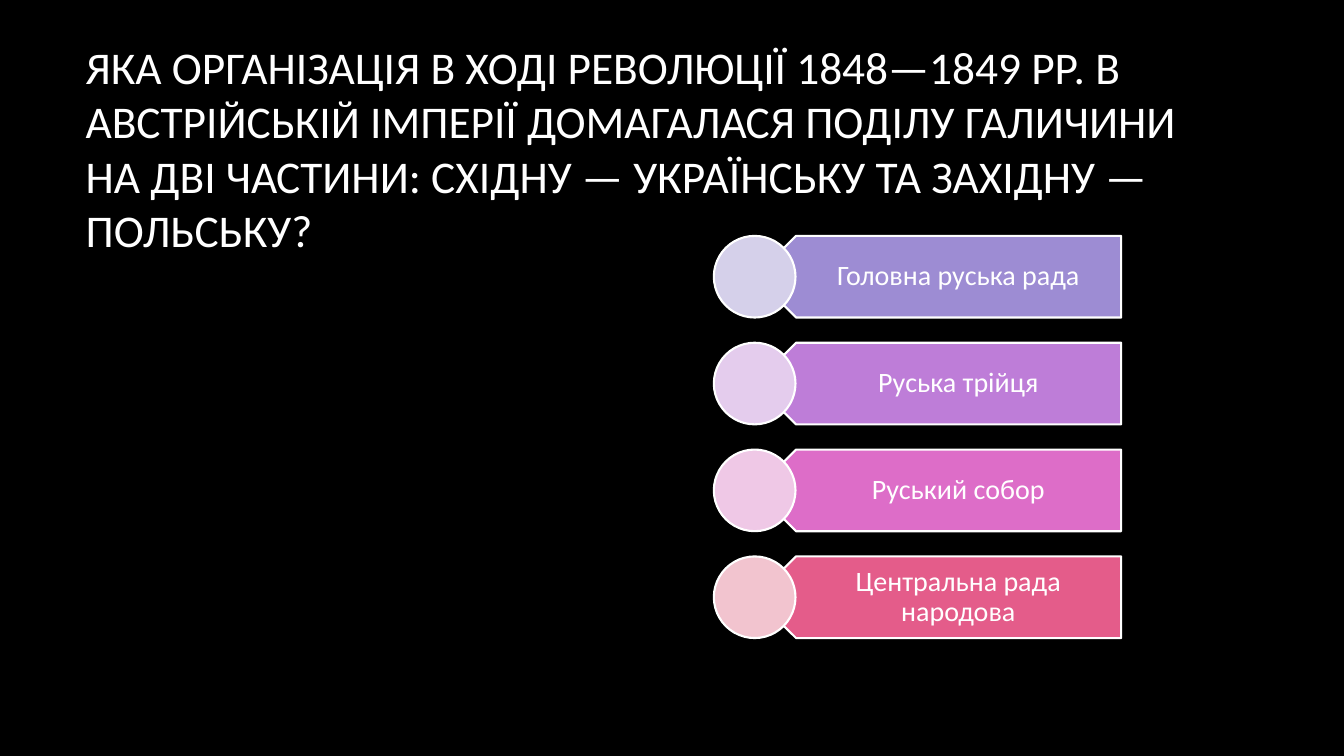
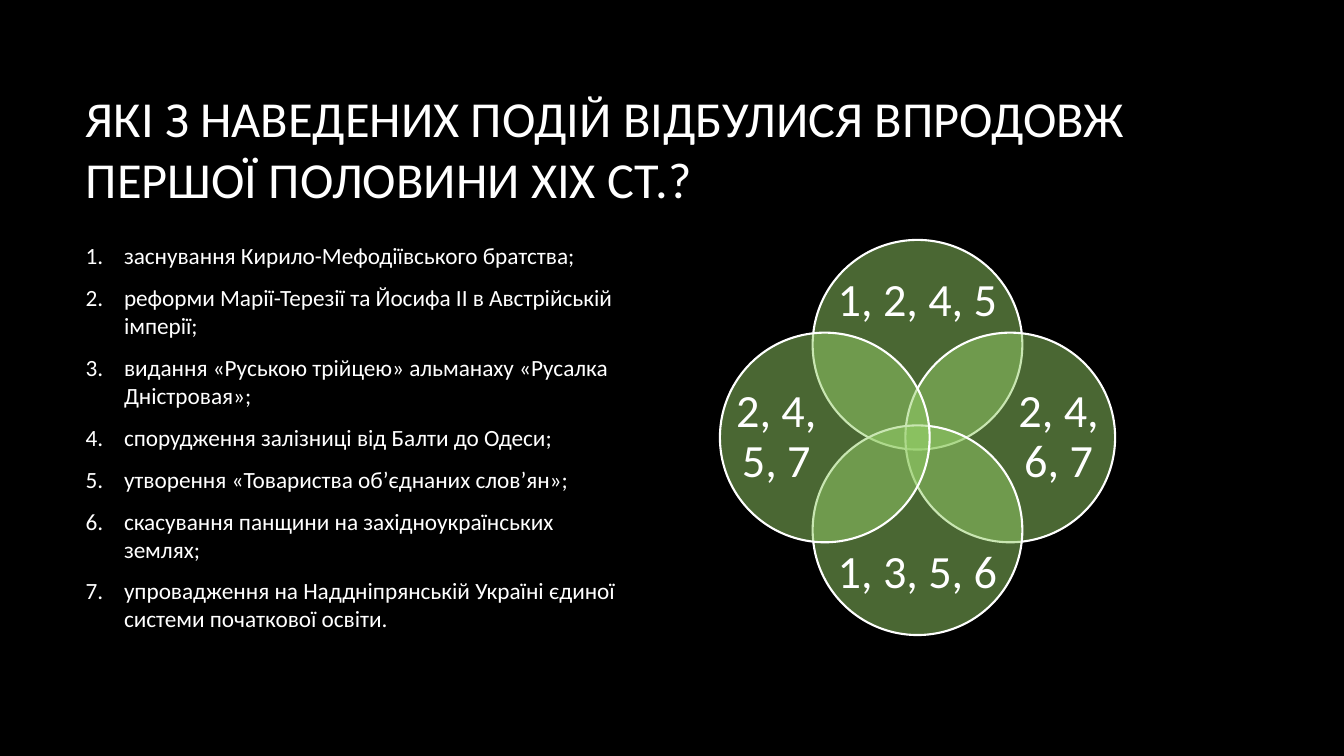
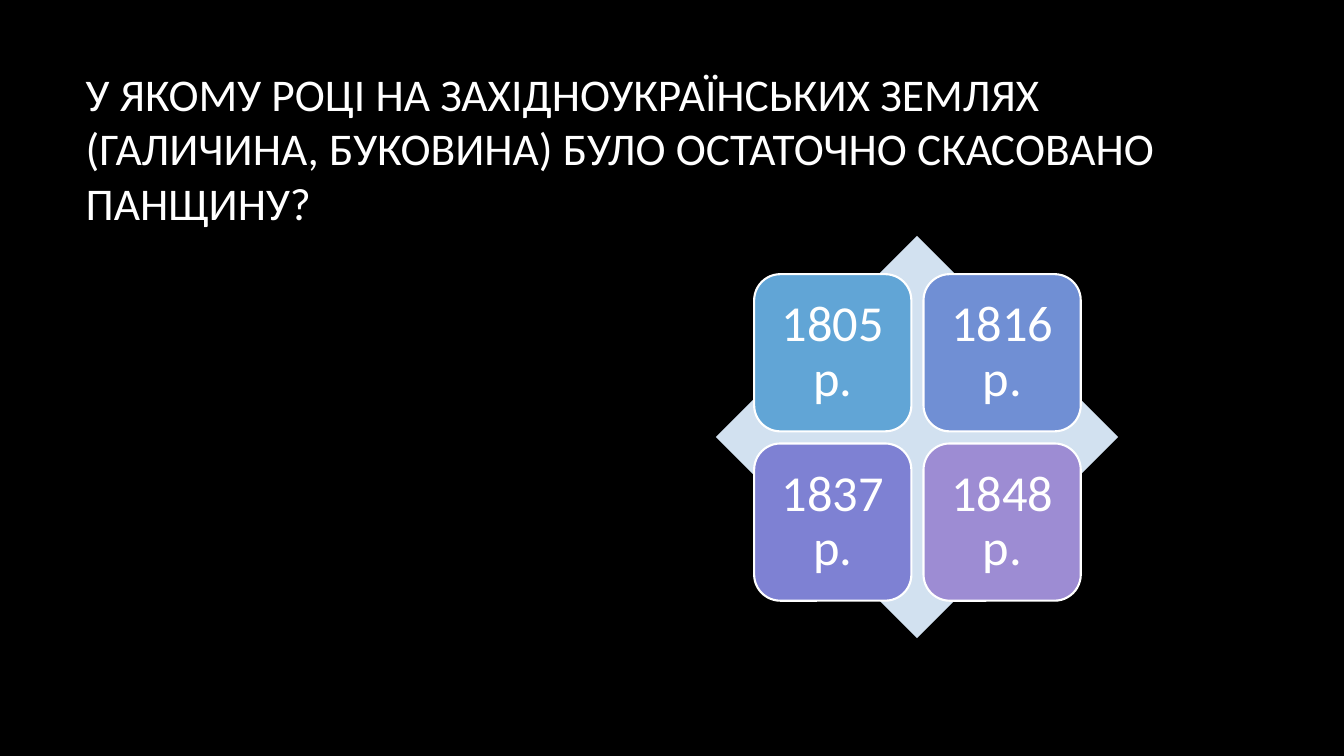
from dataclasses import dataclass

from lxml.etree import SubElement
from pptx import Presentation
from pptx.dml.color import RGBColor
from pptx.enum.shapes import MSO_SHAPE
from pptx.enum.text import MSO_ANCHOR, MSO_AUTO_SIZE, PP_ALIGN
from pptx.oxml.ns import qn
from pptx.util import Inches, Pt


@dataclass(frozen=True)
class Theme:
    font: str = "Calibri"
    background: str = "000000"
    text: str = "FFFFFF"
    outline: str = "FFFFFF"
    outline_width: float = 1.5
    petal: str = "94CE67"
    petal_alpha: int = 50
    diamond: str = "D2E1F0"
    bars: tuple = (("9D8CD3", "D5D0EA"), ("BE7DD8", "E4CCED"),
                   ("DD6DC8", "EFC8E6"), ("E45C8A", "F2C4CF"))
    tiles: tuple = ("61A5D6", "708FD4", "7E81D3", "9D8CD3")
    title_size: float = 36
    long_title_size: float = 32.4
    list_size: float = 16.6
    bar_size: float = 20
    petal_size: float = 33
    tile_size: float = 36


THEME = Theme()
TITLE_ONLY, TITLE_AND_CONTENT = 5, 1


def place(shape, left, top, width, height):
    shape.left, shape.top = Inches(left), Inches(top)
    shape.width, shape.height = Inches(width), Inches(height)


def add_run(paragraph, text, size):
    run = paragraph.add_run()
    run.text = text
    run.font.name = THEME.font
    run.font.size = Pt(size)
    run.font.color.rgb = RGBColor.from_string(THEME.text)


def set_up_master(presentation):
    """Give every slide the dark background and the title position."""
    master = presentation.slide_master
    fill = master.background.fill
    fill.solid()
    fill.fore_color.rgb = RGBColor.from_string(THEME.background)
    place(master.placeholders[0], 0.75, 0.67, 11.08, 1.59)


def add_slide(presentation, layout, title, size):
    slide = presentation.slides.add_slide(presentation.slide_layouts[layout])
    frame = slide.shapes.title.text_frame
    frame.auto_size = MSO_AUTO_SIZE.NONE
    frame.vertical_anchor = MSO_ANCHOR.MIDDLE
    paragraph = frame.paragraphs[0]
    paragraph.alignment = PP_ALIGN.LEFT
    add_run(paragraph, title, size)
    return slide


def number_paragraph(paragraph, indent):
    properties = paragraph._p.get_or_add_pPr()
    properties.set("marL", str(Inches(indent)))
    properties.set("indent", str(-Inches(indent)))
    color = SubElement(properties, qn("a:buClr"))
    SubElement(color, qn("a:srgbClr"), val=THEME.text)
    SubElement(properties, qn("a:buFont"), typeface="+mj-lt")
    SubElement(properties, qn("a:buAutoNum"), type="arabicPeriod")


def fill_numbered_list(body, items):
    place(body, 0.75, 2.34, 5.46, 3.99)
    frame = body.text_frame
    frame.auto_size = MSO_AUTO_SIZE.NONE
    frame.vertical_anchor = MSO_ANCHOR.MIDDLE
    for index, item in enumerate(items):
        paragraph = frame.add_paragraph() if index else frame.paragraphs[0]
        number_paragraph(paragraph, 0.38)
        paragraph.space_before = Pt(0)
        paragraph.space_after = Pt(10)
        add_run(paragraph, item, THEME.list_size)


def add_figure(slide, kind, box, color, outlined=True):
    shape = slide.shapes.add_shape(kind, *map(Inches, box))
    shape.shadow.inherit = False
    shape.fill.solid()
    shape.fill.fore_color.rgb = RGBColor.from_string(color)
    if outlined:
        shape.line.color.rgb = RGBColor.from_string(THEME.outline)
        shape.line.width = Pt(THEME.outline_width)
    else:
        shape.line.fill.background()
    return shape


def write_centered(shape, text, size, insets=(0, 0, 0, 0)):
    frame = shape.text_frame
    frame.word_wrap = True
    frame.vertical_anchor = MSO_ANCHOR.MIDDLE
    (frame.margin_left, frame.margin_top,
     frame.margin_right, frame.margin_bottom) = map(Inches, insets)
    paragraph = frame.paragraphs[0]
    paragraph.alignment = PP_ALIGN.CENTER
    paragraph.line_spacing = 0.9
    add_run(paragraph, text, size)


def add_label(slide, box, text, size, insets=(0, 0, 0, 0)):
    write_centered(slide.shapes.add_textbox(*map(Inches, box)), text, size, insets)


def centered_box(center_x, center_y, width, height):
    return center_x - width / 2, center_y - height / 2, width, height


def set_alpha(shape, percent):
    color = shape.fill._xPr.find(qn("a:solidFill"))[0]
    SubElement(color, qn("a:alpha"), val=str(percent * 1000))


def add_answer_bars(slide, answers):
    top, pitch, height = 2.34, 1.06, 0.81
    for index, (answer, (bar_color, dot_color)) in enumerate(zip(answers, THEME.bars)):
        y = top + index * pitch
        bar = add_figure(slide, MSO_SHAPE.PENTAGON, (7.49, y, 3.63, height), bar_color)
        bar.rotation = 180
        add_label(slide, (7.69, y, 3.43, height), answer, THEME.bar_size,
                  (0.36, 0.08, 0.16, 0.08))
        add_figure(slide, MSO_SHAPE.OVAL, (7.08, y, height, height), dot_color)


def add_answer_petals(slide, answers):
    """Overlapping circles around one centre, clockwise from the top."""
    center_x, center_y, diameter, offset = 9.1, 4.34, 2.08, 0.92
    directions = ((0, -1), (1, 0), (0, 1), (-1, 0))
    for answer, (dx, dy) in zip(answers, directions):
        petal = add_figure(slide, MSO_SHAPE.OVAL,
                           centered_box(center_x + dx * offset, center_y + dy * offset,
                                        diameter, diameter), THEME.petal)
        set_alpha(petal, THEME.petal_alpha)
        label_size = (0.8, 1.6) if dx else (1.6, 0.66)
        add_label(slide, centered_box(center_x + dx * 1.4, center_y + dy * 1.35, *label_size),
                  answer, THEME.petal_size)


def add_answer_tiles(slide, answers):
    left, top, side, pitch = 7.48, 2.72, 1.56, 1.68
    add_figure(slide, MSO_SHAPE.DIAMOND, (7.1, 2.34, 3.99, 3.99), THEME.diamond,
               outlined=False)
    for index, (answer, color) in enumerate(zip(answers, THEME.tiles)):
        row, column = divmod(index, 2)
        box = (left + column * pitch, top + row * pitch, side, side)
        tile = add_figure(slide, MSO_SHAPE.ROUNDED_RECTANGLE, box, color)
        write_centered(tile, answer, THEME.tile_size, (0.15,) * 4)


def main():
    presentation = Presentation()
    presentation.slide_width, presentation.slide_height = Inches(13.33), Inches(7.5)
    set_up_master(presentation)

    slide = add_slide(
        presentation, TITLE_ONLY,
        "ЯКА ОРГАНІЗАЦІЯ В ХОДІ РЕВОЛЮЦІЇ 1848—1849 РР. В АВСТРІЙСЬКІЙ ІМПЕРІЇ "
        "ДОМАГАЛАСЯ ПОДІЛУ ГАЛИЧИНИ НА ДВІ ЧАСТИНИ: СХІДНУ — УКРАЇНСЬКУ ТА "
        "ЗАХІДНУ — ПОЛЬСЬКУ?", THEME.long_title_size)
    add_answer_bars(slide, ("Головна руська рада", "Руська трійця", "Руський собор",
                            "Центральна рада народова"))

    slide = add_slide(
        presentation, TITLE_AND_CONTENT,
        "ЯКІ З НАВЕДЕНИХ ПОДІЙ ВІДБУЛИСЯ ВПРОДОВЖ ПЕРШОЇ ПОЛОВИНИ ХІХ СТ.?",
        THEME.title_size)
    fill_numbered_list(slide.placeholders[1], (
        "заснування Кирило-Мефодіївського братства;",
        "реформи Марії-Терезії та Йосифа ІІ в Австрійській імперії;",
        "видання «Руською трійцею» альманаху «Русалка Дністровая»;",
        "спорудження залізниці від Балти до Одеси;",
        "утворення «Товариства об’єднаних слов’ян»;",
        "скасування панщини на західноукраїнських землях;",
        "упровадження на Наддніпрянській Україні єдиної системи початкової освіти."))
    add_answer_petals(slide, ("1, 2, 4, 5", "2, 4, 6, 7", "1, 3, 5, 6", "2, 4, 5, 7"))

    slide = add_slide(
        presentation, TITLE_ONLY,
        "У ЯКОМУ РОЦІ НА ЗАХІДНОУКРАЇНСЬКИХ ЗЕМЛЯХ (ГАЛИЧИНА, БУКОВИНА) БУЛО "
        "ОСТАТОЧНО СКАСОВАНО ПАНЩИНУ?", THEME.long_title_size)
    add_answer_tiles(slide, ("1805 р.", "1816 р.", "1837 р.", "1848 р."))

    presentation.save("out.pptx")


if __name__ == "__main__":
    main()
